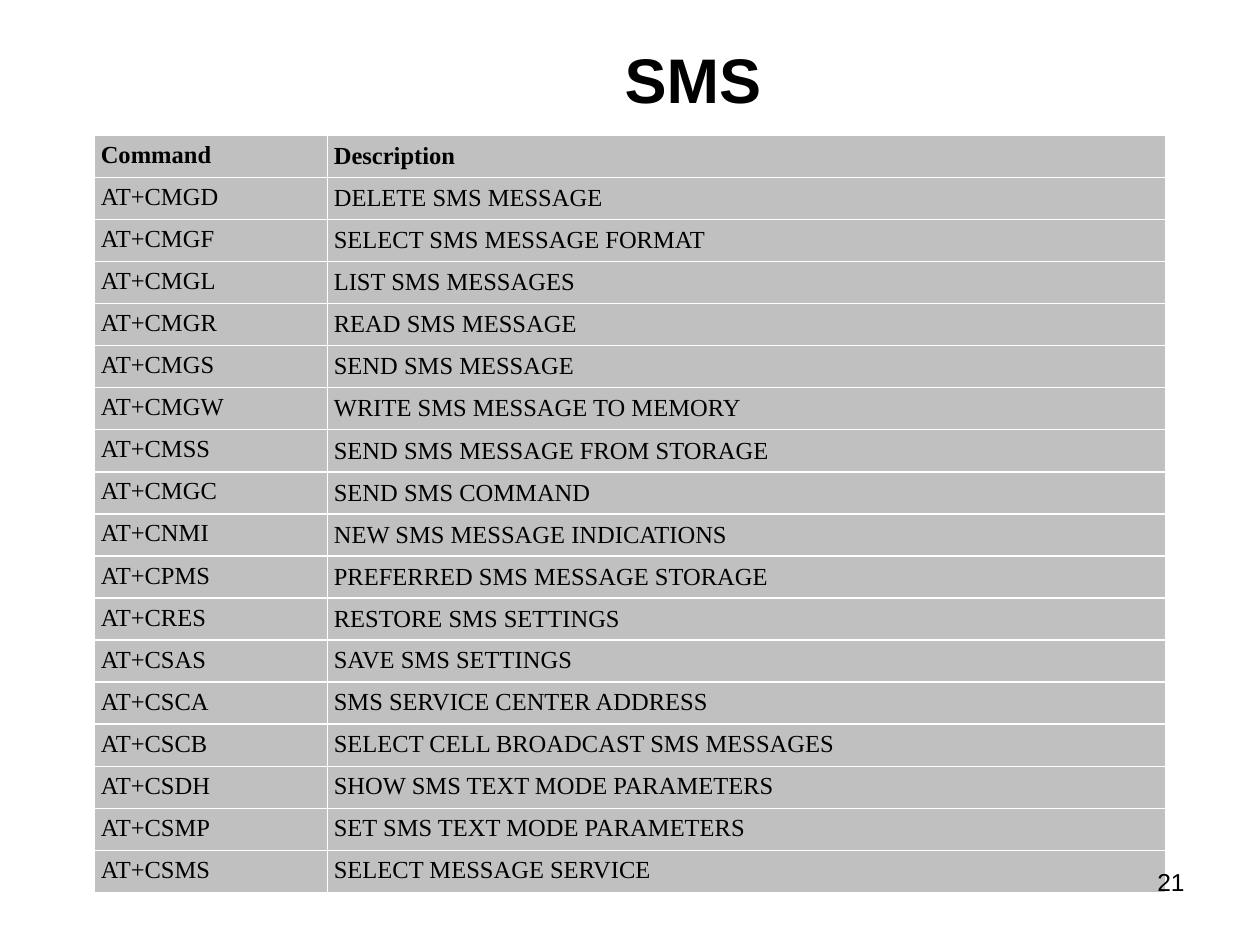
from lxml import etree
from pptx import Presentation
from pptx.dml.color import RGBColor
from pptx.enum.text import MSO_ANCHOR, PP_ALIGN
from pptx.oxml.ns import qn
from pptx.util import Pt

TOP, MIDDLE = MSO_ANCHOR.TOP, MSO_ANCHOR.MIDDLE
CENTER, RIGHT = PP_ALIGN.CENTER, PP_ALIGN.RIGHT
COLORS = {"text": "000000", "cell": "C0C0C0", "border": "FFFFFF"}
SANS, SERIF = "Arial", "Times New Roman"

COMMANDS = [
    ("Command", "Description"),
    ("AT+CMGD", "DELETE SMS MESSAGE"),
    ("AT+CMGF", "SELECT SMS MESSAGE FORMAT"),
    ("AT+CMGL", "LIST SMS MESSAGES"),
    ("AT+CMGR", "READ SMS MESSAGE"),
    ("AT+CMGS", "SEND SMS MESSAGE"),
    ("AT+CMGW", "WRITE SMS MESSAGE TO MEMORY"),
    ("AT+CMSS", "SEND SMS MESSAGE FROM STORAGE"),
    ("AT+CMGC", "SEND SMS COMMAND"),
    ("AT+CNMI", "NEW SMS MESSAGE INDICATIONS"),
    ("AT+CPMS", "PREFERRED SMS MESSAGE STORAGE"),
    ("AT+CRES", "RESTORE SMS SETTINGS"),
    ("AT+CSAS", "SAVE SMS SETTINGS"),
    ("AT+CSCA", "SMS SERVICE CENTER ADDRESS"),
    ("AT+CSCB", "SELECT CELL BROADCAST SMS MESSAGES"),
    ("AT+CSDH", "SHOW SMS TEXT MODE PARAMETERS"),
    ("AT+CSMP", "SET SMS TEXT MODE PARAMETERS"),
    ("AT+CSMS", "SELECT MESSAGE SERVICE"),
]
MIDDLE_ROWS = 12  # descriptions in the first rows are centred vertically
COMMAND_SHARE = 0.2176  # width of the command column


def add_run(p, text, size, font, bold=False):
    r = p.add_run()
    r.text = text
    r.font.size = Pt(size)
    r.font.name = font
    r.font.bold = bold
    r.font.color.rgb = RGBColor.from_string(COLORS["text"])


def add_label(s, box, text, size, align, anchor=TOP, bold=False):
    tf = s.shapes.add_textbox(*map(Pt, box)).text_frame
    tf.word_wrap = True
    tf.vertical_anchor = anchor
    p = tf.paragraphs[0]
    p.alignment = align
    add_run(p, text, size, SANS, bold)


def style_cell(cell):
    cell.margin_left = cell.margin_right = Pt(3.6)
    cell.margin_top = cell.margin_bottom = Pt(3.6)
    # Borders come before the fill in the cell properties
    tc_pr = cell._tc.get_or_add_tcPr()
    for side in ("a:lnL", "a:lnR", "a:lnT", "a:lnB"):
        ln = etree.SubElement(tc_pr, qn(side), w=str(Pt(0.96)))
        fill = etree.SubElement(ln, qn("a:solidFill"))
        etree.SubElement(fill, qn("a:srgbClr"), val=COLORS["border"])
    cell.fill.solid()
    cell.fill.fore_color.rgb = RGBColor.from_string(COLORS["cell"])


def add_command_table(s, box):
    left, top, width, height = box
    table = s.shapes.add_table(len(COMMANDS), 2, *map(Pt, box)).table
    command_width = round(width * COMMAND_SHARE, 1)
    table.columns[0].width = Pt(command_width)
    table.columns[1].width = Pt(width - command_width)
    for i, texts in enumerate(COMMANDS):
        table.rows[i].height = Pt(height / len(COMMANDS))
        for j, text in enumerate(texts):
            cell = table.cell(i, j)
            style_cell(cell)
            cell.vertical_anchor = MIDDLE if j == 1 and i < MIDDLE_ROWS else TOP
            add_run(cell.text_frame.paragraphs[0], text, 14, SERIF, bold=i == 0)


def main():
    prs = Presentation()
    prs.slide_width, prs.slide_height = Pt(720), Pt(540)
    s = prs.slides.add_slide(prs.slide_layouts[6])
    # Title
    add_label(s, (72, 0, 648, 90), "SMS", 36, CENTER, MIDDLE, bold=True)
    # Commands
    add_command_table(s, (54, 77.3, 612, 432))
    # Slide number
    add_label(s, (516, 492, 168, 37.5), "21", 14, RIGHT)
    prs.save("out.pptx")


if __name__ == "__main__":
    main()
